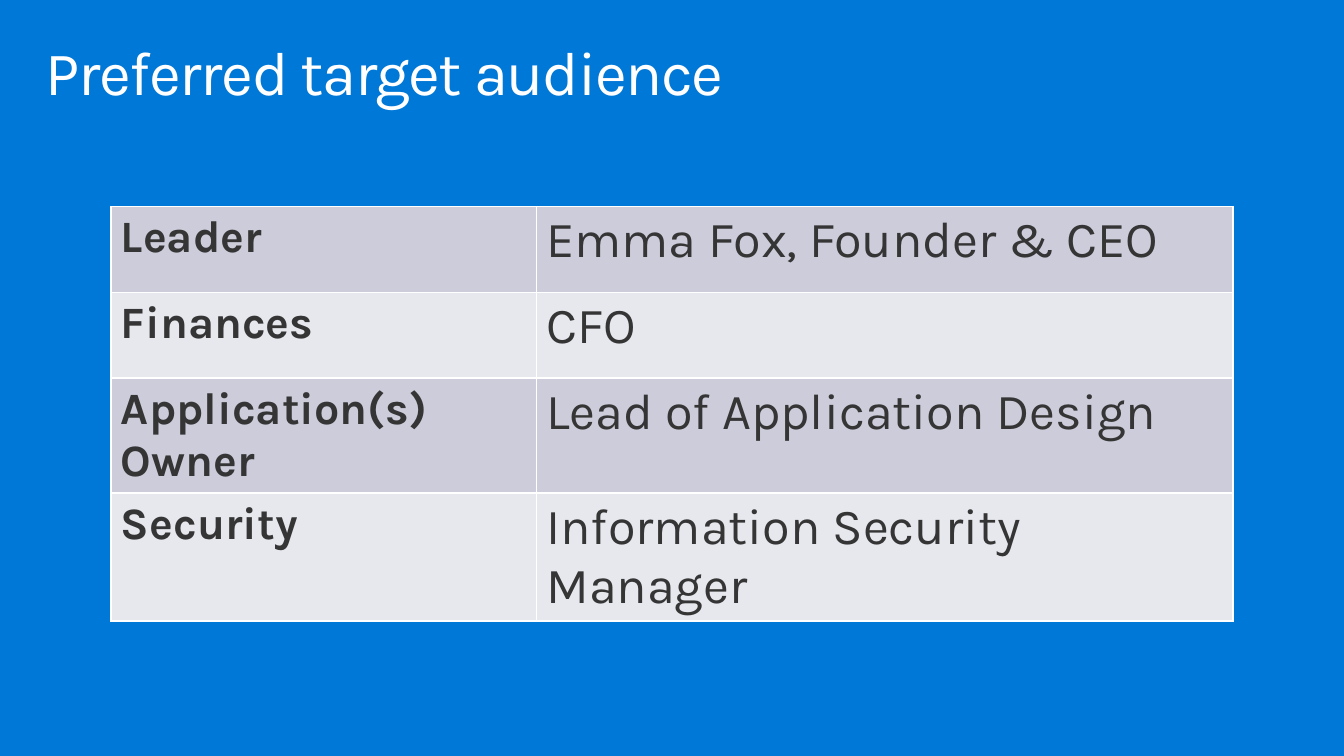
import pptx
import pptx.dml.color
import pptx.enum.text
import pptx.oxml
import pptx.oxml.ns
import pptx.util
from pptx.util import Inches

RGBColor = pptx.dml.color.RGBColor
BLUE = RGBColor(0x00, 0x78, 0xD7)
WHITE = RGBColor(0xFF, 0xFF, 0xFF)
CHARCOAL = RGBColor(0x35, 0x35, 0x35)
BANDS = (RGBColor(0xCC, 0xCC, 0xDB), RGBColor(0xE7, 0xE8, 0xEE))

AUDIENCE = [
    ("Leader", "Emma Fox, Founder & CEO"),
    ("Finances", "CFO"),
    ("Application(s) Owner", "Lead of Application Design"),
    ("Security", "Information Security Manager"),
]


class AudienceSlide:
    font_name = "Karla"

    def __init__(self, presentation):
        self.slide = presentation.slides.add_slide(presentation.slide_layouts[5])
        background = self.slide.background.fill
        background.solid()
        background.fore_color.rgb = BLUE

    def style(self, paragraph, size, color, bold=False):
        for run in paragraph.runs:
            run.font.name = self.font_name
            run.font.size = pptx.util.Pt(size)
            run.font.bold = bold
            run.font.color.rgb = color

    def title(self, text, left, top, width, height):
        heading = self.slide.shapes.title
        heading.left, heading.top = Inches(left), Inches(top)
        heading.width, heading.height = Inches(width), Inches(height)
        frame = heading.text_frame
        frame.text = text
        frame.word_wrap = True
        frame.auto_size = pptx.enum.text.MSO_AUTO_SIZE.NONE
        frame.vertical_anchor = pptx.enum.text.MSO_ANCHOR.TOP
        frame.margin_left = frame.margin_right = Inches(0.16)
        frame.margin_top = frame.margin_bottom = Inches(0.1)
        line = frame.paragraphs[0]
        line.alignment = pptx.enum.text.PP_ALIGN.LEFT
        line.line_spacing = 0.9
        self.style(line, 44.1, WHITE)
        # Tighten the letters by one point
        line.runs[0]._r.get_or_add_rPr().set("spc", "-100")

    def borders(self, cell, color, width):
        properties = cell._tc.get_or_add_tcPr()
        for index, side in enumerate(("lnL", "lnR", "lnT", "lnB")):
            properties.insert(index, pptx.oxml.parse_xml(
                f'<a:{side} {pptx.oxml.ns.nsdecls("a")} w="{pptx.util.Pt(width)}">'
                f'<a:solidFill><a:srgbClr val="{color}"/></a:solidFill></a:{side}>'))

    def table(self, rows, left, top, column_widths, row_height):
        roles = self.slide.shapes.add_table(
            len(rows), len(column_widths), Inches(left), Inches(top),
            Inches(sum(column_widths)), Inches(row_height * len(rows))).table
        for column, width in zip(roles.columns, column_widths):
            column.width = Inches(width)
        for row_index, texts in enumerate(rows):
            roles.rows[row_index].height = Inches(row_height)
            for column_index, text in enumerate(texts):
                is_role = column_index == 0
                cell = roles.cell(row_index, column_index)
                cell.text = text
                cell.fill.solid()
                cell.fill.fore_color.rgb = BANDS[row_index % 2]
                self.style(cell.text_frame.paragraphs[0],
                           32 if is_role else 36, CHARCOAL, bold=is_role)
                self.borders(cell, WHITE, 1)


def main():
    presentation = pptx.Presentation()
    presentation.slide_width = Inches(13.33)
    presentation.slide_height = Inches(7.5)
    audience = AudienceSlide(presentation)

    # Heading
    audience.title("Preferred target audience", 0.29, 0.32, 12.75, 0.98)

    # Roles and the people who hold them
    audience.table(AUDIENCE, 1.1, 2.05, (4.22, 6.91), 0.85)

    presentation.save("out.pptx")


if __name__ == "__main__":
    main()
